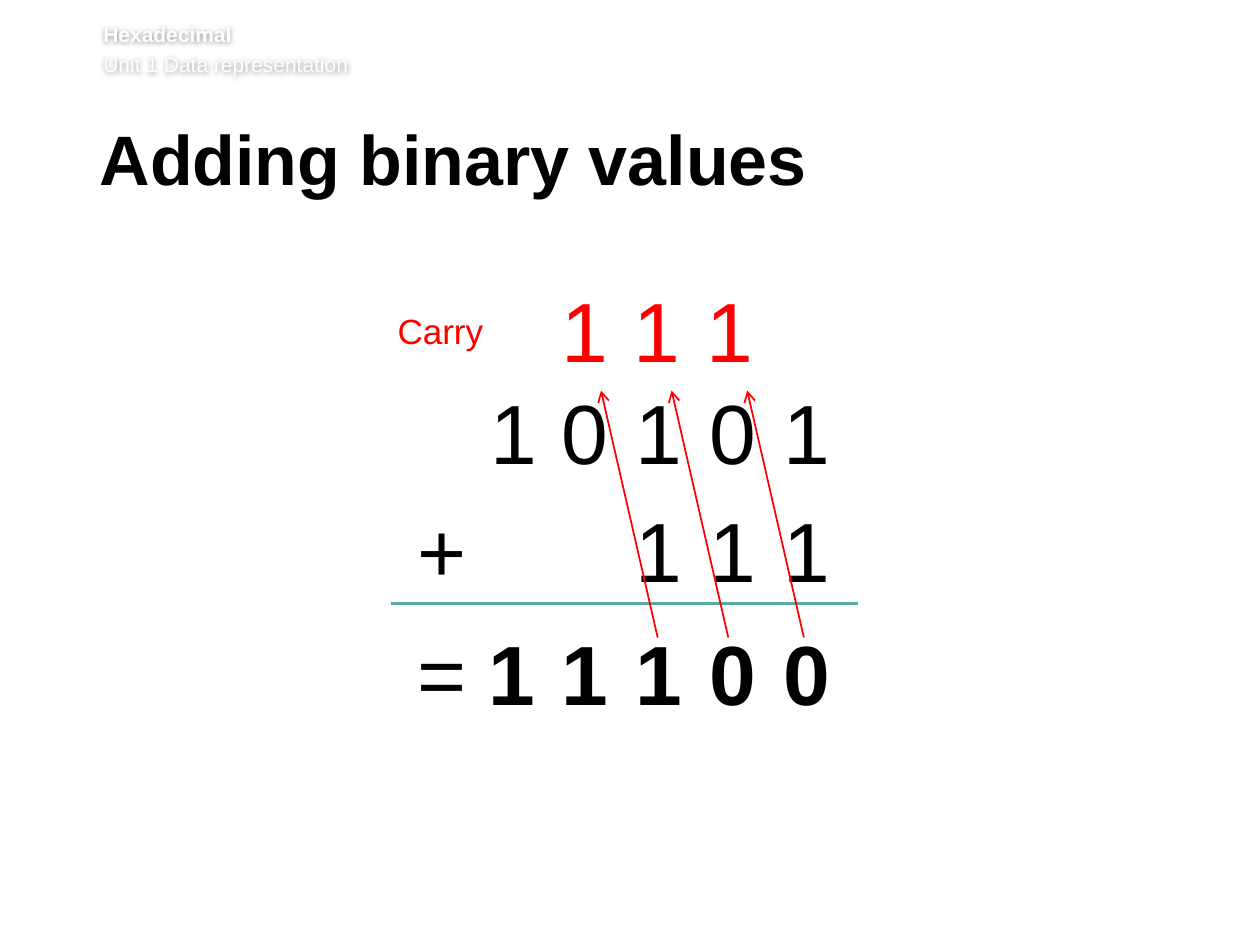
from dataclasses import dataclass
from lxml import etree
from pptx import Presentation
from pptx import util as u
from pptx.dml.color import RGBColor
from pptx.enum import shapes, text
from pptx.oxml import parse_xml
from pptx.oxml.ns import nsdecls, qn

BLACK = RGBColor(0, 0, 0)
WHITE = RGBColor(255, 255, 255)
RED = RGBColor(255, 0, 0)
TEAL = RGBColor(0x58, 0xAC, 0xA5)
LEFT, PITCH, TALL = 3.77, 2.34 / 4, 0.91
CARRY, FIRST, SECOND, TOTAL = 2.16, 2.97, 3.91, 4.88


@dataclass
class Row:
    digits: str
    top: float
    col: int
    shift: float = 0
    color: RGBColor = BLACK
    bold: bool = False


ROWS = [
    Row("1", FIRST, 0, shift=0.02),
    Row("0101", FIRST, 1),
    Row("111", SECOND, 2),
    Row("11100", TOTAL, 0, bold=True),
    Row("1", CARRY, 1, color=RED),
    Row("11", CARRY, 2, shift=-0.02, color=RED),
]


def write(slide, words: str, x: float, y: float, w: float, h: float, *,
          size=48, color=BLACK, bold=(False,), wrap=False, inset=(0.1, 0.05, 0.1, 0.05),
          align=text.PP_ALIGN.CENTER, before=0, after=0, line=None):
    box = slide.shapes.add_textbox(*map(u.Inches, (x, y, w, h)))
    frame = box.text_frame
    frame.word_wrap = wrap
    frame.auto_size = text.MSO_AUTO_SIZE.NONE if wrap else text.MSO_AUTO_SIZE.SHAPE_TO_FIT_TEXT
    frame.margin_left, frame.margin_top, frame.margin_right, frame.margin_bottom = map(u.Inches, inset)
    frame.text = words
    for i, (para, heavy) in enumerate(zip(frame.paragraphs, bold)):
        para.alignment = align
        para.space_before = u.Pt(before if i else 0)
        para.space_after = u.Pt(after)
        if line:
            para.line_spacing = u.Pt(line)
        font = para.runs[0].font
        font.name, font.size, font.bold = "Arial", u.Pt(size), heavy
        font.color.rgb = color
    return box


def glow(box) -> None:
    box._element.spPr.append(parse_xml(
        f'<a:effectLst {nsdecls("a")}><a:outerShdw blurRad="38100" dist="0" dir="0">'
        '<a:srgbClr val="000000"><a:alpha val="40000"/></a:srgbClr>'
        '</a:outerShdw></a:effectLst>'))


def rule(slide, x1: float, y1: float, x2: float, y2: float, color: RGBColor,
         width: float, arrow=False) -> None:
    link = slide.shapes.add_connector(
        shapes.MSO_CONNECTOR.STRAIGHT, *map(u.Inches, (x1, y1, x2, y2)))
    link.line.color.rgb = color
    link.line.width = u.Pt(width)
    if arrow:
        etree.SubElement(link.line._get_or_add_ln(), qn("a:tailEnd"), type="arrow")
    etree.SubElement(link._element.spPr, qn("a:effectLst"))


def main() -> None:
    deck = Presentation()
    deck.slide_width, deck.slide_height = u.Inches(10), u.Inches(7.5)
    slide = deck.slides.add_slide(deck.slide_layouts[6])

    left = text.PP_ALIGN.LEFT
    head = write(slide, "Hexadecimal\nUnit 1 Data representation", 0.82, 0.17, 8.82, 0.49,
                 size=12, color=WHITE, bold=(True, False), wrap=True,
                 inset=(0, 0, 0, 0.05), align=left, before=2.9)
    glow(head)
    write(slide, "Adding binary values", 0.79, 0.99, 8.55, 0.73, size=40, bold=(True,),
          wrap=True, inset=(0, 0.05, 0.1, 0.05), align=left, after=15, line=39)

    for row in ROWS:
        for i, digit in enumerate(row.digits, row.col):
            write(slide, digit, LEFT + i * PITCH + row.shift, row.top, 0.58, TALL,
                  color=row.color, bold=(row.bold,))
    for sign, top in (("+", SECOND), ("=", TOTAL)):
        write(slide, sign, 3.21, top, 0.59, TALL)
    write(slide, "Carry", 3.05, 2.41, 0.89, 0.44, size=20, color=RED)

    rule(slide, 3.1, 4.79, 6.81, 4.79, TEAL, 2.25)
    for x in (5.22, 5.78, 6.38):
        rule(slide, x, 5.06, x - 0.45, 3.1, RED, 1, arrow=True)

    deck.save("out.pptx")


if __name__ == "__main__":
    main()
